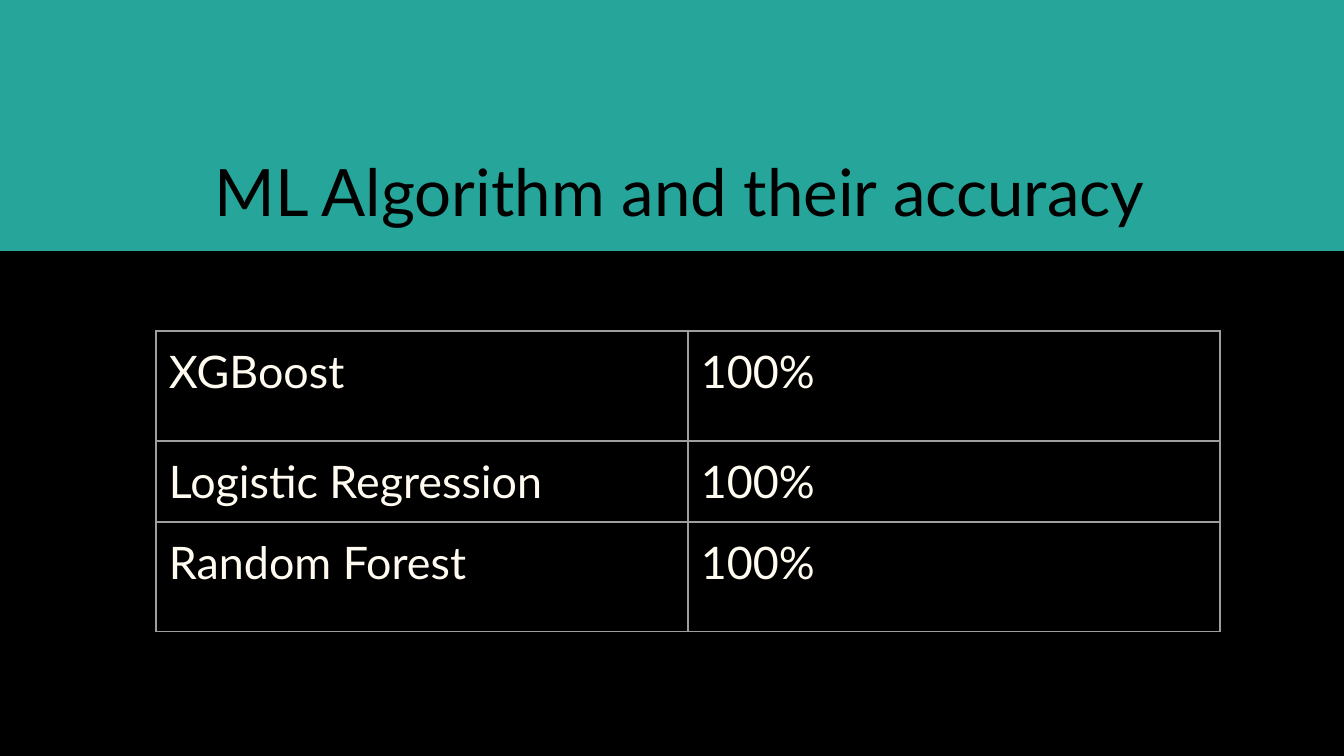
from lxml.etree import SubElement
from pptx import Presentation
from pptx.dml.color import RGBColor
from pptx.enum.shapes import MSO_SHAPE
from pptx.enum.text import MSO_ANCHOR, PP_ALIGN
from pptx.oxml.ns import qn
from pptx.util import Emu, Pt

SCALE = 914400 / 134.4
PAD = 13
ROWS = [
    ("XGBoost", "100%", 110),
    ("Logistic Regression", "100%", 81),
    ("Random Forest", "100%", 110),
]


def px(n):
    """Turn px into EMU."""
    return Emu(round(n * SCALE))


def paint(fill, color):
    """Give a fill one solid hex colour."""
    fill.solid()
    fill.fore_color.rgb = RGBColor.from_string(color)


def write(frame, text, size, color, align=PP_ALIGN.LEFT):
    """Put one styled paragraph into a text frame."""
    para = frame.paragraphs[0]
    para.text = text
    para.alignment = align
    para.font.name = "Lato"
    para.font.size = Pt(size)
    para.font.color.rgb = RGBColor.from_string(color)


def pad(area):
    """Set equal margins on a cell or text frame."""
    area.margin_left = area.margin_right = px(PAD)
    area.margin_top = area.margin_bottom = px(PAD)


def edge(cell, color):
    """Draw a thin line on all four sides of a cell."""
    props = cell._tc.get_or_add_tcPr()
    for i, side in enumerate(("a:lnL", "a:lnR", "a:lnT", "a:lnB")):
        line = props.makeelement(qn(side), {"w": str(Pt(0.75))})
        fill = SubElement(line, qn("a:solidFill"))
        SubElement(fill, qn("a:srgbClr"), val=color)
        props.insert(i, line)


def header(slide, x, y, w, h):
    """Draw the teal band with its title at the foot."""
    band = slide.shapes.add_shape(MSO_SHAPE.RECTANGLE, px(x), px(y), px(w), px(h))
    band.shadow.inherit = False
    paint(band.fill, "26A69A")
    band.line.fill.background()
    title = slide.shapes.add_textbox(px(x + 91), px(y + 138), px(w - 151), px(116))
    frame = title.text_frame
    frame.word_wrap = True
    frame.vertical_anchor = MSO_ANCHOR.TOP
    pad(frame)
    write(frame, "ML Algorithm and their accuracy ", 35, "000000", PP_ALIGN.CENTER)


def scores(slide, x, y, w):
    """Draw the table of algorithms and accuracies."""
    high = sum(row[-1] for row in ROWS)
    table = slide.shapes.add_table(len(ROWS), 2, px(x), px(y), px(w), px(high)).table
    table.first_row = table.horz_banding = False
    for col in table.columns:
        col.width = px(w / 2)
    for r, (*texts, tall) in enumerate(ROWS):
        table.rows[r].height = px(tall)
        for c, text in enumerate(texts):
            cell = table.cell(r, c)
            paint(cell.fill, "000000")
            edge(cell, "9E9E9E")
            pad(cell)
            write(cell.text_frame, text, 24, "FFFBF0")


def main():
    """Build and save the slide."""
    deck = Presentation()
    deck.slide_width, deck.slide_height = px(1344), px(756)
    slide = deck.slides.add_slide(deck.slide_layouts[6])
    paint(slide.background.fill, "000000")
    header(slide, 0, 0, 1344, 251)
    scores(slide, 156, 331, 1064)
    deck.save("out.pptx")


if __name__ == "__main__":
    main()
